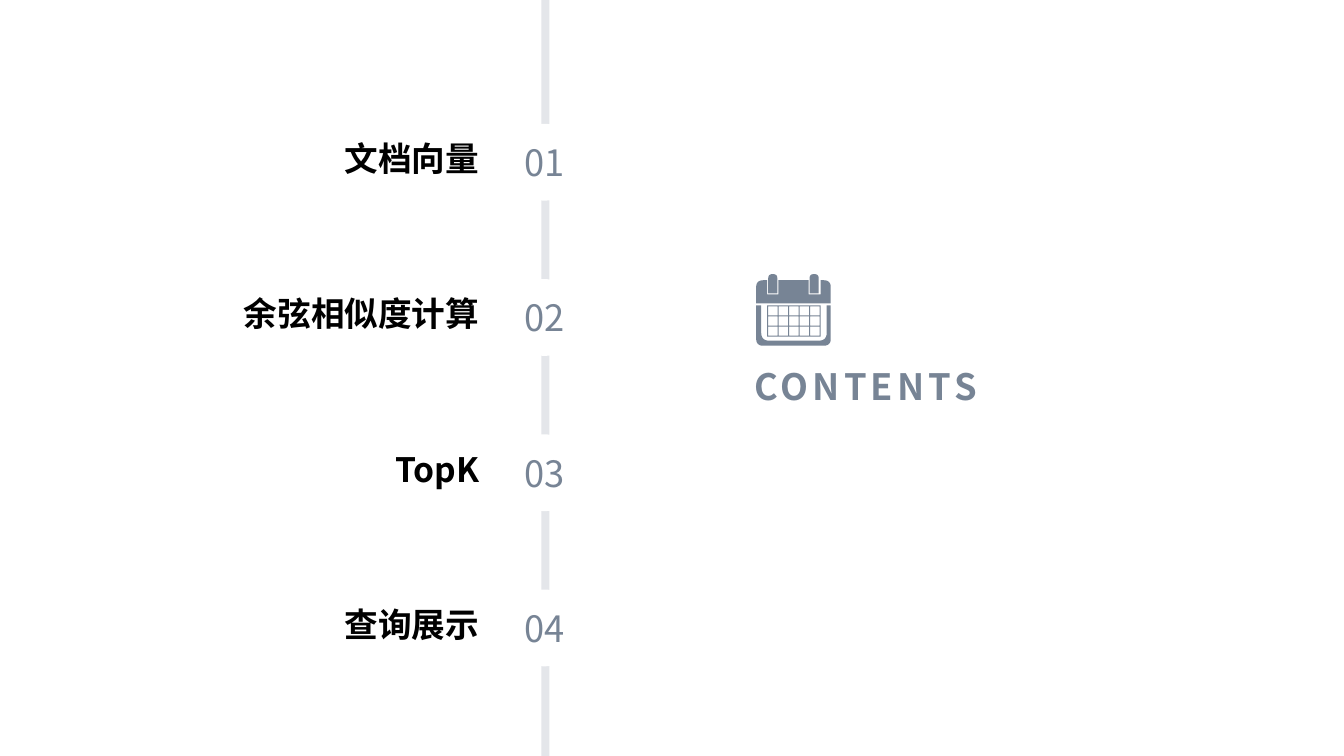
"""Build a contents slide with a numbered timeline and a calendar icon."""
import pptx
import pptx.dml.color
import pptx.enum.shapes
import pptx.enum.text
import pptx.oxml
import pptx.oxml.ns
import pptx.util

Inches = pptx.util.Inches
SHAPES = pptx.enum.shapes.MSO_SHAPE
ALIGN = pptx.enum.text.PP_ALIGN
ANCHOR = pptx.enum.text.MSO_ANCHOR

FONT = "Noto Sans CJK SC"
SLATE, PALE, WHITE, BLACK = "778495", "E4E6EA", "FFFFFF", "000000"
CHAPTERS = ("文档向量", "余弦相似度计算", "TopK", "查询展示")
FIRST_TOP, PITCH, DIAMETER = 1.26, 1.54, 0.7


def color(hex_value):
    """Return the color for a hex string."""
    return pptx.dml.color.RGBColor.from_string(hex_value)


def paint(shape, fill, line=None, line_width=0):
    """Give a shape a flat fill and an optional outline."""
    shape.shadow.inherit = False
    shape.fill.solid()
    shape.fill.fore_color.rgb = color(fill)
    if line:
        shape.line.color.rgb = color(line)
        shape.line.width = pptx.util.Pt(line_width)
    else:
        shape.line.fill.background()


def write(shape, text, size, ink, bold=False, align=ALIGN.LEFT,
          anchor=ANCHOR.MIDDLE, wrap=True, line_spacing=None, tracking=0):
    """Write one formatted paragraph into a shape."""
    frame = shape.text_frame
    frame.word_wrap = wrap
    frame.vertical_anchor = anchor
    paragraph = frame.paragraphs[0]
    paragraph.alignment = align
    paragraph.line_spacing = line_spacing
    run = paragraph.add_run()
    run.text = text
    run.font.size = pptx.util.Pt(size)
    run.font.bold = bold
    run.font.color.rgb = color(ink)
    run.font.name = FONT
    properties = run.font._element
    east_asian = pptx.oxml.parse_xml(
        f'<a:ea {pptx.oxml.ns.nsdecls("a")} typeface="{FONT}"/>')
    properties.append(east_asian)
    if tracking:
        properties.set("spc", str(tracking * 100))


def add_shape(slide, kind, left, top, width, height, fill, **outline):
    """Add a painted preset shape."""
    shape = slide.shapes.add_shape(
        kind, Inches(left), Inches(top), Inches(width), Inches(height))
    paint(shape, fill, **outline)
    return shape


def add_text(slide, text, left, top, width, height, **text_format):
    """Add a formatted text box."""
    box = slide.shapes.add_textbox(
        Inches(left), Inches(top), Inches(width), Inches(height))
    write(box, text, **text_format)


def add_chapter(slide, index, title):
    """Add a numbered circle and its chapter title."""
    top = FIRST_TOP + index * PITCH
    circle = add_shape(slide, SHAPES.OVAL, 5.05, top, DIAMETER, DIAMETER,
                       WHITE, line=WHITE, line_width=4.5)
    write(circle, f"{index + 1:02d}", size=25.9, ink=SLATE,
          align=ALIGN.CENTER, wrap=False)
    add_text(slide, title, 0.77, top, 4.08, 0.56, size=24, ink=BLACK,
             bold=True, align=ALIGN.RIGHT, anchor=ANCHOR.BOTTOM)


def rectangle(left, top, right, bottom):
    """Return the corners of a rectangle."""
    return [(left, top), (right, top), (right, bottom), (left, bottom)]


def round_corners(corners, steps=6):
    """Turn (x, y, radius) corners into outline points with curved corners."""
    points = []
    for index, (x, y, *radius) in enumerate(corners):
        if not radius:
            points.append((x, y))
            continue
        ends = []
        for neighbor in (corners[index - 1], corners[(index + 1) % len(corners)]):
            across, down = neighbor[0] - x, neighbor[1] - y
            share = radius[0] / max(abs(across), abs(down))
            ends.append((x + across * share, y + down * share))
        (x1, y1), (x2, y2) = ends
        for step in range(steps + 1):
            t = step / steps
            a, b, c = (1 - t) ** 2, 2 * t * (1 - t), t ** 2
            points.append((a * x1 + b * x + c * x2, a * y1 + b * y + c * y2))
    return points


def calendar_grid(left, top, right, bottom, columns=5, rows=3, rule=0.01):
    """Return the outer box of the day grid followed by its cell openings."""
    width = (right - left - rule) / columns
    height = (bottom - top - rule) / rows
    outlines = [rectangle(left, top, right, bottom)]
    for row in range(rows):
        for column in range(columns):
            x, y = left + rule + column * width, top + rule + row * height
            outlines.append(rectangle(x, y, x + width - rule, y + height - rule))
    return outlines


def add_calendar(slide):
    """Add the calendar icon as one freeform."""
    frame = [(7.5, 3.03), (7.55, 3.03), (7.55, 3.38, 0.08), (8.2, 3.38, 0.08),
             (8.2, 3.03), (8.24, 3.03), (8.24, 3.43, 0.07), (7.5, 3.43, 0.07)]
    header = [(7.5, 2.78, 0.07), (7.61, 2.78), (7.61, 2.92), (7.72, 2.92),
              (7.72, 2.78), (8.02, 2.78), (8.02, 2.92), (8.14, 2.92),
              (8.14, 2.78), (8.24, 2.78, 0.07), (8.24, 3.01), (7.5, 3.01)]
    rings = [[(left, 2.72, 0.04), (left + 0.09, 2.72, 0.04),
              (left + 0.09, 2.91), (left, 2.91)] for left in (7.62, 8.03)]
    outlines = [frame, *calendar_grid(7.61, 3.03, 8.14, 3.34), header, *rings]
    builder = None
    for outline in outlines:
        start, *rest = [(Inches(x), Inches(y)) for x, y in round_corners(outline)]
        if builder is None:
            builder = slide.shapes.build_freeform(*start)
        else:
            builder.move_to(*start)
        builder.add_line_segments(rest, close=True)
    paint(builder.convert_to_shape(), SLATE)


def main():
    """Build and save the presentation."""
    presentation = pptx.Presentation()
    presentation.slide_width = Inches(13.33)
    presentation.slide_height = Inches(7.5)
    slide = presentation.slides.add_slide(presentation.slide_layouts[6])
    add_shape(slide, SHAPES.RECTANGLE, 5.37, 0, 0.08, 7.5, PALE)
    for index, title in enumerate(CHAPTERS):
        add_chapter(slide, index, title)
    add_text(slide, "CONTENTS", 7.38, 3.41, 3.52, 0.66, size=25.9, ink=SLATE,
             bold=True, line_spacing=1.4, tracking=3)
    add_calendar(slide)
    presentation.save("out.pptx")


if __name__ == "__main__":
    main()
